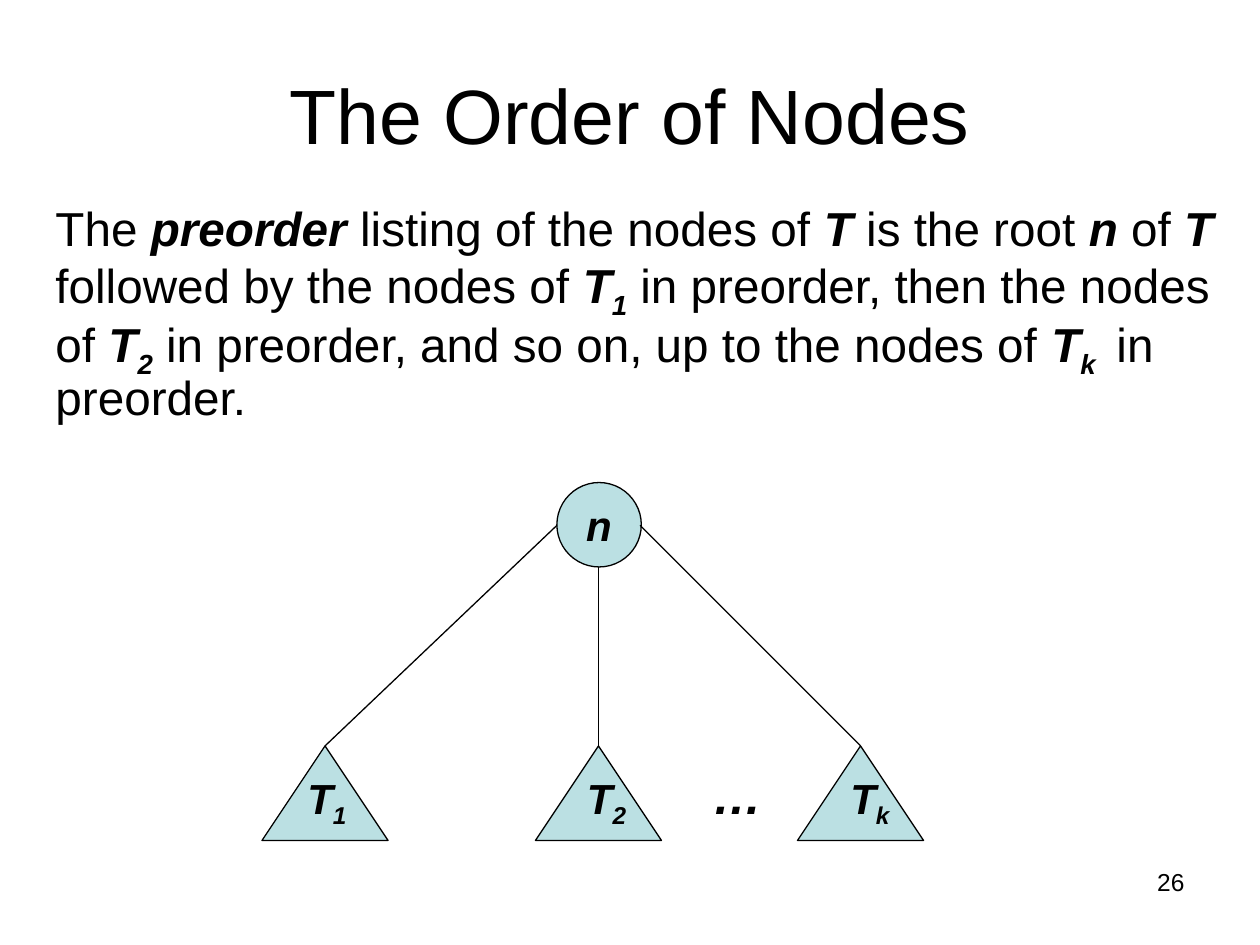
from lxml import etree
from pptx import Presentation
from pptx.dml.color import RGBColor
from pptx.enum.shapes import MSO_CONNECTOR, MSO_SHAPE
from pptx.enum.text import MSO_ANCHOR, MSO_AUTO_SIZE, PP_ALIGN
from pptx.oxml.ns import qn
from pptx.util import Inches, Pt

BLACK = RGBColor(0x00, 0x00, 0x00)
PALE_TEAL = RGBColor(0xBB, 0xE0, 0xE3)
LINE = Pt(0.75)
LEFT, CENTER, RIGHT = PP_ALIGN.LEFT, PP_ALIGN.CENTER, PP_ALIGN.RIGHT
MIDDLE, TOP = MSO_ANCHOR.MIDDLE, MSO_ANCHOR.TOP
PLAIN, STRONG, SUB = "plain", "strong", "sub"


def write(sp, parts, size, align=LEFT, anchor=TOP, wrap=True):
    """Fill a shape with one paragraph of (text, style) parts."""
    tf = sp.text_frame
    tf.auto_size = MSO_AUTO_SIZE.NONE
    tf.word_wrap = wrap
    tf.vertical_anchor = anchor
    p = tf.paragraphs[0]
    p.alignment = align
    p.font.name = "Arial"
    p.font.size = Pt(size)
    p.font.color.rgb = BLACK
    for text, style in parts:
        r = p.add_run()
        r.text = text
        r.font.name = "Arial"
        r.font.size = Pt(size)
        r.font.color.rgb = BLACK
        r.font.bold = r.font.italic = style != PLAIN
        if style == SUB:
            r.font._element.set("baseline", "-25000")
    return p


def add_node(kind, left, top, width, height):
    sp = s.shapes.add_shape(kind, Inches(left), Inches(top), Inches(width), Inches(height))
    sp.shadow.inherit = False
    sp.fill.solid()
    sp.fill.fore_color.rgb = PALE_TEAL
    sp.line.color.rgb = BLACK
    sp.line.width = LINE
    return sp


prs = Presentation()
prs.slide_width, prs.slide_height = Inches(10), Inches(7.5)
s = prs.slides.add_slide(prs.slide_layouts[1])

# Title and definition
title, body = s.shapes.title, s.placeholders[1]
title.left, title.top, title.width, title.height = map(Inches, (0.5, 0.4, 9, 1))
write(title, [("The Order of Nodes", PLAIN)], 44, CENTER, MIDDLE)

body.left, body.top, body.width, body.height = map(Inches, (-0.33, 1.58, 10.33, 2.25))
p = write(body, [
    ("The ", PLAIN), ("preorder ", STRONG), ("listing of the nodes of ", PLAIN),
    ("T", STRONG), (" is the root ", PLAIN), ("n", STRONG), (" of ", PLAIN),
    ("T", STRONG), (" followed by the nodes of ", PLAIN),
    ("T", STRONG), ("1", SUB), (" in preorder, then the nodes of ", PLAIN),
    ("T", STRONG), ("2", SUB), (" in preorder, and so on, up to the nodes of ", PLAIN),
    ("T", STRONG), ("k ", SUB), (" in preorder.", PLAIN),
], 27.2)
p.line_spacing = 0.9
p.space_before = Pt(8)
pPr = p._p.get_or_add_pPr()
pPr.set("marL", str(Inches(0.67)))
pPr.set("indent", "0")
# The bullet setting must come before the default run properties
bullet = etree.Element(qn("a:buNone"))
pPr.find(qn("a:defRPr")).addprevious(bullet)

# Tree: root, subtrees and the edges between them
root = add_node(MSO_SHAPE.OVAL, 4.42, 3.83, 0.67, 0.67)
write(root, [("n", STRONG)], 24, CENTER, MIDDLE, wrap=False)

# subscript, triangle left, label left, edge start on the root
subtrees = [
    ("1", 2.08, 2.34, (4.42, 4.17)),
    ("2", 4.25, 4.56, (4.75, 4.5)),
    ("k", 6.33, 6.65, (5.08, 4.17)),
]
for index, left, label_left, (x, y) in subtrees:
    triangle = add_node(MSO_SHAPE.FLOWCHART_EXTRACT, left, 5.92, 1, 0.75)
    edge = s.shapes.add_connector(MSO_CONNECTOR.STRAIGHT, Inches(x), Inches(y),
                                  Inches(left + 0.5), Inches(5.92))
    edge.end_connect(triangle, 0)
    edge.line.color.rgb = BLACK
    edge.line.width = LINE
    etree.SubElement(edge._element.spPr, qn("a:effectLst"))
    label = s.shapes.add_textbox(Inches(label_left), Inches(6.08), Inches(0.51), Inches(0.56))
    write(label, [("T", STRONG), (index, SUB)], 24, wrap=False)

dots = s.shapes.add_textbox(Inches(5.56), Inches(6.03), Inches(0.59), Inches(0.57))
write(dots, [("…", STRONG)], 28, wrap=False)

# Slide number
number = s.shapes.add_textbox(Inches(7.17), Inches(6.83), Inches(2.33), Inches(0.52))
write(number, [("26", PLAIN)], 14, RIGHT)

prs.save("out.pptx")
